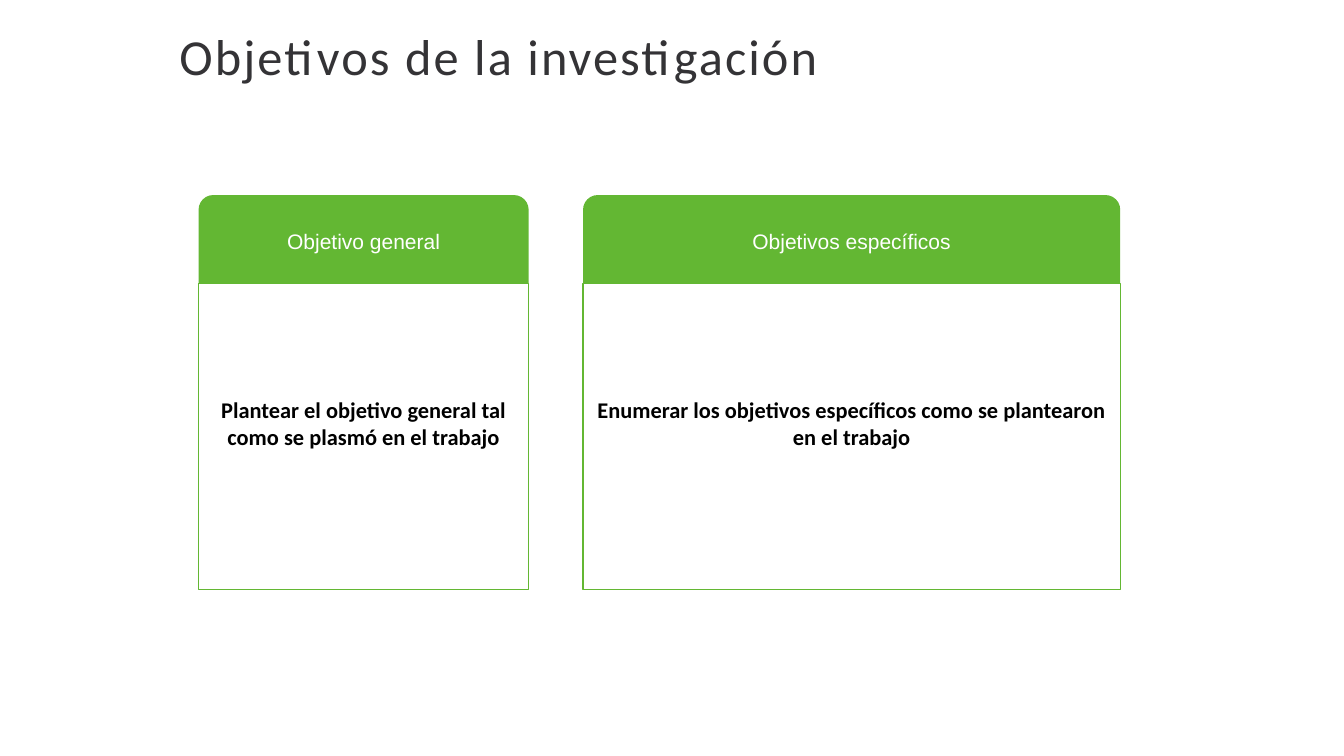
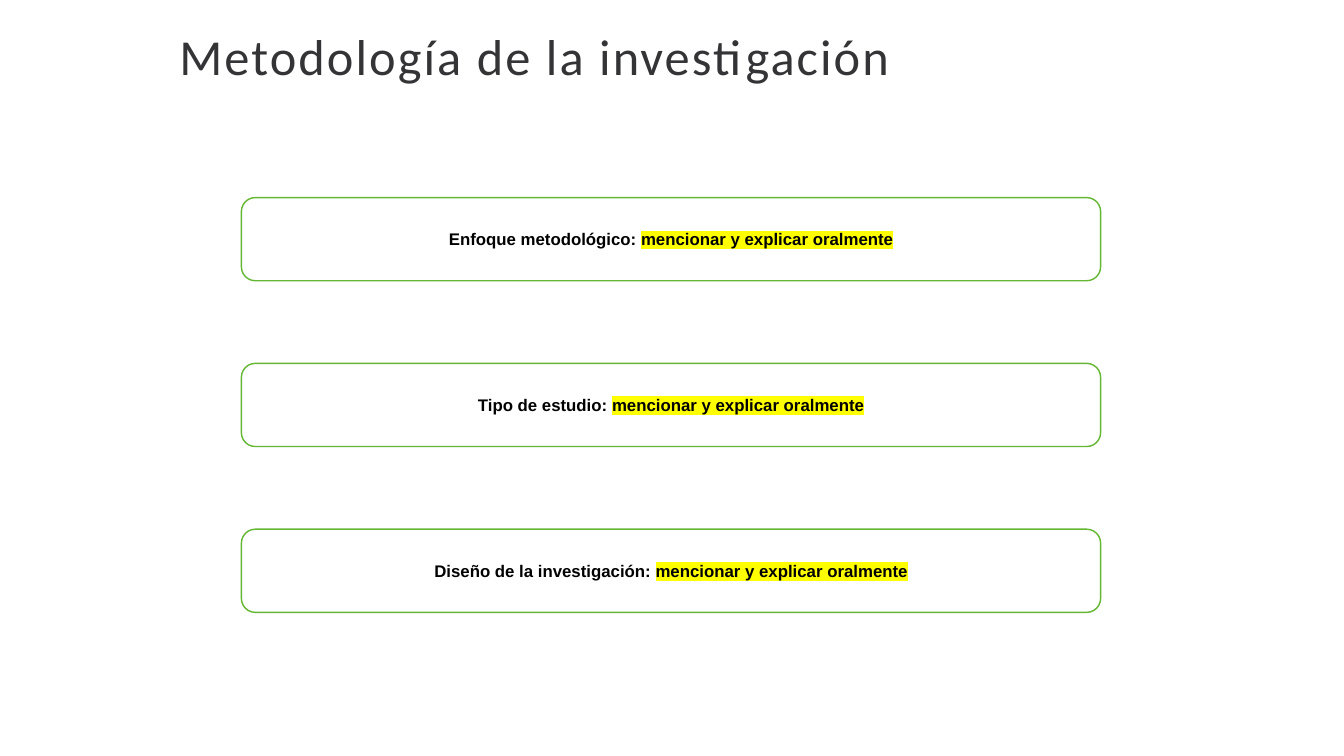
"""Build the two slides on research objectives and methodology."""
from pptx import Presentation
from pptx.dml.color import RGBColor
from pptx.enum.shapes import MSO_SHAPE
from pptx.enum.text import MSO_ANCHOR, MSO_AUTO_SIZE, PP_ALIGN
from pptx.oxml import parse_xml
from pptx.oxml.ns import nsdecls
from pptx.util import Inches, Pt

RECT = MSO_SHAPE.ROUNDED_RECTANGLE
TAB = MSO_SHAPE.ROUND_2_SAME_RECTANGLE
TOP, MIDDLE = MSO_ANCHOR.TOP, MSO_ANCHOR.MIDDLE
LEFT, CENTER = PP_ALIGN.LEFT, PP_ALIGN.CENTER
NO_FIT = MSO_AUTO_SIZE.NONE
TITLE_ONLY = 5

COLORS = {
    "title": "343336",
    "green": "63B733",
    "white": "FFFFFF",
    "black": "000000",
    "yellow": "FFFF00",
}


class Deck:
    """Hold the shared style and the slide being filled."""

    def __init__(self):
        self.prs = Presentation()
        self.prs.slide_width = Inches(26.67)
        self.prs.slide_height = Inches(15)
        self.s = None

    def color(self, name):
        """Return a palette colour."""
        return RGBColor.from_string(COLORS[name])

    def style(self, p, font, size, color, bold=False, align=CENTER):
        """Format a whole paragraph."""
        p.alignment = align
        p.font.name = font
        p.font.size = Pt(size)
        p.font.bold = bold
        p.font.color.rgb = self.color(color)

    def slide(self, title):
        """Start a slide with its title."""
        self.s = self.prs.slides.add_slide(self.prs.slide_layouts[TITLE_ONLY])
        sp = self.s.shapes.title
        sp.left, sp.top = Inches(3.46), Inches(0.67)
        sp.width, sp.height = Inches(19.24), Inches(1.29)
        tf = sp.text_frame
        tf.word_wrap = True
        tf.auto_size = NO_FIT
        tf.vertical_anchor = TOP
        p = tf.paragraphs[0]
        r = p.add_run()
        r.text = title
        r.font._element.set("spc", "300")
        p.line_spacing = 0.8
        self.style(p, "Calibri", 72, "title", align=LEFT)

    def box(self, kind, x, y, w, h, fill="white", line=None):
        """Add a filled shape and return it."""
        sp = self.s.shapes.add_shape(kind, Inches(x), Inches(y), Inches(w), Inches(h))
        sp.shadow.inherit = False
        sp.fill.solid()
        sp.fill.fore_color.rgb = self.color(fill)
        if line:
            sp.line.color.rgb = self.color(line)
            sp.line.width = Pt(2)
        else:
            sp.line.fill.background()
        sp.text_frame.word_wrap = True
        sp.text_frame.vertical_anchor = MIDDLE
        return sp

    def card(self, x, w, heading, body):
        """Add a bordered card under a green tab."""
        sp = self.box(RECT, x, 5.62, w, 6.08, line="green")
        sp.adjustments[0] = 0
        tf = sp.text_frame
        tf.margin_bottom = Inches(0.59)
        tf.text = body
        self.style(tf.paragraphs[0], "Calibri", 32, "black", bold=True)
        tf = self.box(TAB, x, 3.87, w, 1.75, fill="green").text_frame
        tf.text = heading
        self.style(tf.paragraphs[0], "Arial", 30, "white")

    def row(self, y, label, note):
        """Add a rounded row with a highlighted note after its label."""
        sp = self.box(RECT, 4.79, y, 17.05, 1.65, line="green")
        p = sp.text_frame.paragraphs[0]
        p.add_run().text = label + ": "
        r = p.add_run()
        r.text = note
        r.font._element.append(parse_xml(
            f'<a:highlight {nsdecls("a")}><a:srgbClr val="{COLORS["yellow"]}"/></a:highlight>'))
        self.style(p, "Arial", 24, "black", bold=True)


def main():
    """Fill both slides and save them."""
    deck = Deck()

    deck.slide("Objetivos de la investigación")
    deck.card(3.94, 6.55, "Objetivo general",
              "Plantear el objetivo general tal como se plasmó en el trabajo")
    deck.card(11.57, 10.66, "Objetivos específicos",
              "Enumerar los objetivos específicos como se plantearon en el trabajo")

    deck.slide("Metodología de la investigación")
    labels = ["Enfoque metodológico", "Tipo de estudio", "Diseño de la investigación"]
    for i, label in enumerate(labels):
        deck.row(3.92 + i * 3.29, label, "mencionar y explicar oralmente")

    deck.prs.save("out.pptx")


if __name__ == "__main__":
    main()
